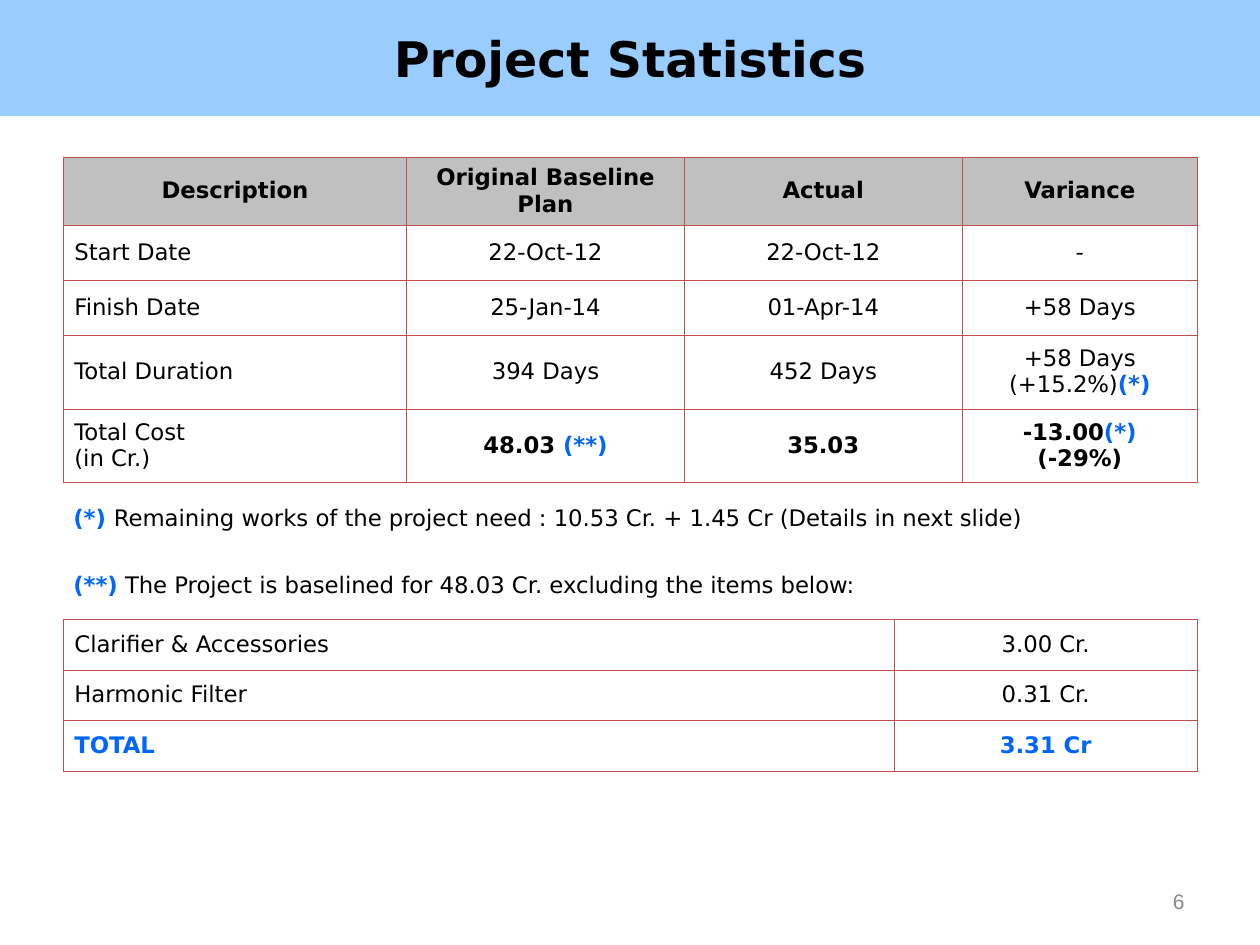
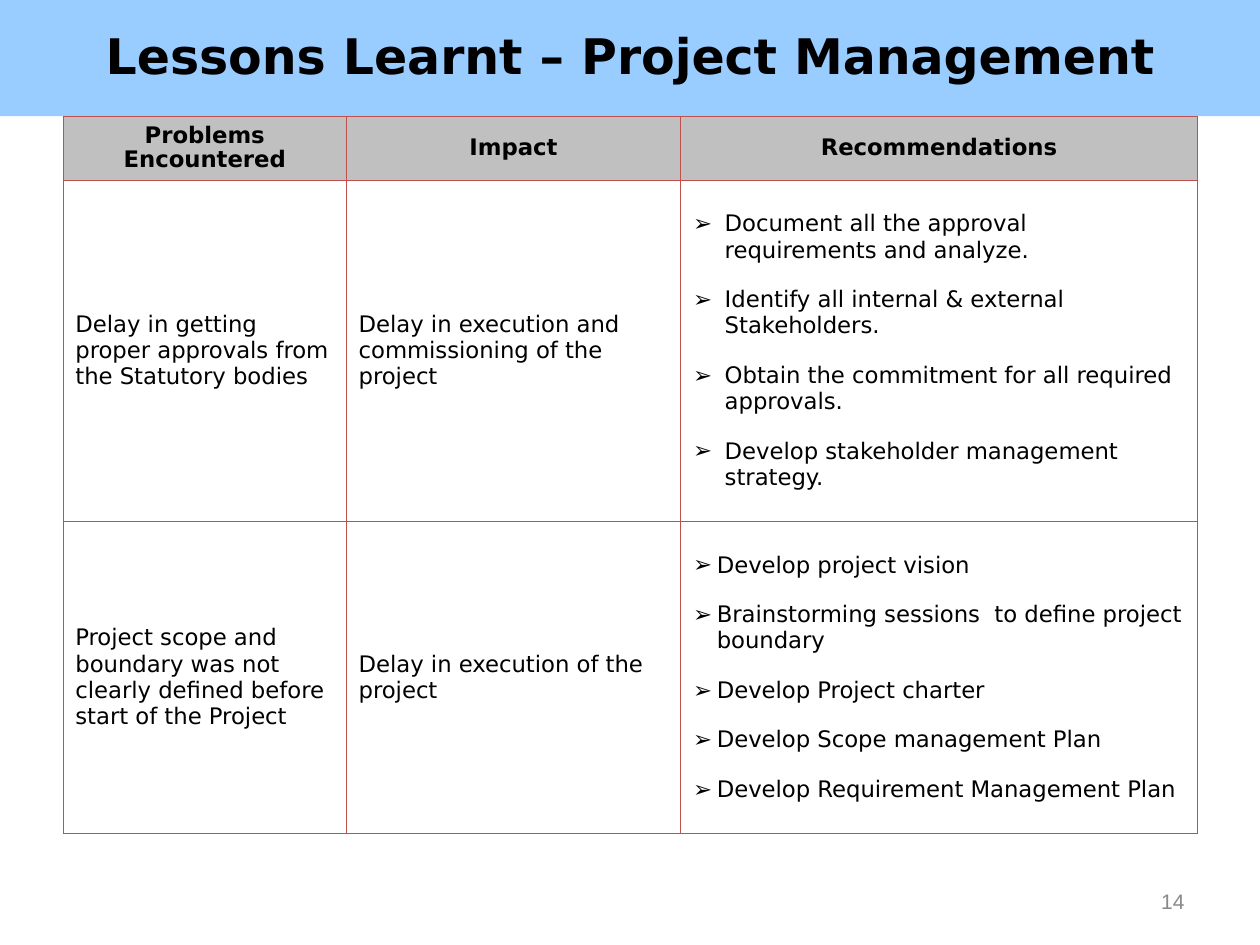
from dataclasses import dataclass, replace
from typing import Optional

from lxml.etree import SubElement
from pptx import Presentation
from pptx.dml.color import RGBColor
from pptx.enum.text import MSO_ANCHOR as Anchor, MSO_AUTO_SIZE as Fit, PP_ALIGN as Align
from pptx.oxml.ns import qn
from pptx.util import Cm, Pt

SKY = RGBColor(0x99, 0xCC, 0xFF)
SILVER = RGBColor(0xC0, 0xC0, 0xC0)
RED = RGBColor(0xC0, 0x50, 0x4D)
BLUE = RGBColor(0x00, 0x66, 0xFF)
BLACK = RGBColor(0x00, 0x00, 0x00)
GREY = RGBColor(0x89, 0x89, 0x89)

WIDE, HIGH = 25.4, 19.05
BAND = 2.34
EDGE = 1.27


@dataclass(frozen=True)
class Style:
    size: float = 13
    font: str = "DejaVu Sans"
    color: RGBColor = BLACK
    bold: bool = False
    align: Align = Align.LEFT
    line: float = 1.0
    before: float = 0
    after: float = 0
    hang: float = 0
    bullet: str = ""


@dataclass(frozen=True)
class Cell:
    text: str
    style: Style
    fill: Optional[RGBColor] = None


@dataclass(frozen=True)
class Grid:
    top: float
    widths: list[float]
    heights: list[float]
    rows: list[list[Cell]]
    inset: float = 0.23


LEFT = Style()
MID = Style(align=Align.CENTER)
HEAD = replace(MID, bold=True)
TITLE = replace(HEAD, size=28)
PAGE = Style(size=12, font="Arial", color=GREY, align=Align.RIGHT)
NOTE = Style(line=1.2, before=19.5, hang=1.6)
ITEM = Style(line=0.93, after=13.5)
PRICE = replace(ITEM, align=Align.CENTER)
PROSE = Style(before=3.3, after=10)
POINT = replace(PROSE, hang=0.64, bullet="➢")
TIGHT = replace(POINT, hang=0.48)


def add_bullet(para, style: Style) -> None:
    props = para._p.get_or_add_pPr()
    tint = SubElement(props, qn("a:buClr"))
    SubElement(tint, qn("a:srgbClr"), val=str(style.color))
    SubElement(props, qn("a:buFont"), typeface=style.font)
    SubElement(props, qn("a:buChar"), char=style.bullet)


def write(frame, text: str, style: Style) -> None:
    frame.text = text
    for index, para in enumerate(frame.paragraphs):
        first, *others = para.text.split("|")
        para.text = first
        for part in others:
            para.add_run().text = part
        if style.bullet:
            add_bullet(para, style)
        if style.hang:
            props = para._p.get_or_add_pPr()
            props.set("marL", str(Cm(style.hang)))
            props.set("indent", str(-Cm(style.hang)))
        para.alignment = style.align
        para.line_spacing = style.line
        para.space_before = Pt(style.before if index else 0)
        para.space_after = Pt(style.after)
        for run in para.runs:
            mark = run.text.startswith("(*")
            run.font.size = Pt(style.size)
            run.font.name = style.font
            run.font.bold = style.bold or mark
            run.font.color.rgb = BLUE if mark else style.color


def pad(frame, left: float, top: float, right: float, bottom: float) -> None:
    frame.margin_left, frame.margin_top = Cm(left), Cm(top)
    frame.margin_right, frame.margin_bottom = Cm(right), Cm(bottom)


def place(shape, left: float, top: float, width: float, height: float) -> None:
    shape.left, shape.top = Cm(left), Cm(top)
    shape.width, shape.height = Cm(width), Cm(height)


def add_text(slide, box: tuple, margins: tuple, text: str, style: Style) -> None:
    frame = slide.shapes.add_textbox(*map(Cm, box)).text_frame
    frame.word_wrap = True
    frame.vertical_anchor = Anchor.MIDDLE
    pad(frame, *margins)
    write(frame, text, style)


def add_lines(cell) -> None:
    props = cell._tc.get_or_add_tcPr()
    for side in ("lnL", "lnR", "lnT", "lnB"):
        line = SubElement(props, qn(f"a:{side}"), w=str(Pt(0.45)))
        fill = SubElement(line, qn("a:solidFill"))
        SubElement(fill, qn("a:srgbClr"), val=str(RED))


def add_grid(slide, grid: Grid) -> None:
    table = slide.shapes.add_table(
        len(grid.rows), len(grid.widths), Cm(EDGE), Cm(grid.top),
        Cm(sum(grid.widths)), Cm(sum(grid.heights))).table
    table.first_row = table.horz_banding = False
    for column, width in zip(table.columns, grid.widths):
        column.width = Cm(width)
    for row, height, cells in zip(table.rows, grid.heights, grid.rows):
        row.height = Cm(height)
        for cell, data in zip(row.cells, cells):
            add_lines(cell)
            if data.fill is None:
                cell.fill.background()
            else:
                cell.fill.solid()
                cell.fill.fore_color.rgb = data.fill
            cell.vertical_anchor = Anchor.MIDDLE
            pad(cell, grid.inset, 0.13, grid.inset, 0.13)
            write(cell.text_frame, data.text, data.style)


def add_slide(deck, title: str, page: int, style: Style = TITLE):
    slide = deck.slides.add_slide(deck.slide_layouts[5])
    band = slide.shapes.title
    place(band, 0, 0, WIDE, BAND)
    band.fill.solid()
    band.fill.fore_color.rgb = SKY
    frame = band.text_frame
    frame.auto_size = Fit.NONE
    frame.vertical_anchor = Anchor.MIDDLE
    write(frame, title, style)
    add_text(slide, (18.21, 17.65, 5.92, 1.02), (0.25, 0.13, 0.25, 0.13),
             str(page), PAGE)
    return slide


def make_row(texts: tuple, *styles: Style,
             fill: Optional[RGBColor] = None) -> list[Cell]:
    return [Cell(text, style, fill) for text, style in zip(texts, styles)]


def add_stats(deck) -> None:
    slide = add_slide(deck, "Project Statistics", 6)
    plain = (LEFT, MID, MID, MID)
    heads = ("Description", "Original Baseline Plan", "Actual", "Variance")
    dates = [
        ("Start Date", "22-Oct-12", "22-Oct-12", "-"),
        ("Finish Date", "25-Jan-14", "01-Apr-14", "+58 Days"),
        ("Total Duration", "394 Days", "452 Days", "+58 Days\n(+15.2%)|(*)"),
    ]
    cost = ("Total Cost\n(in Cr.)", "48.03 |(**)", "35.03", "-13.00|(*)\n(-29%)")
    rows = [make_row(heads, *[HEAD] * 4, fill=SILVER)]
    rows += [make_row(texts, *plain) for texts in dates]
    rows.append(make_row(cost, LEFT, HEAD, HEAD, HEAD))
    add_grid(slide, Grid(3.17, [6.93, 5.59, 5.61, 4.73],
                         [1.31, 1.11, 1.11, 1.49, 1.49], rows))
    notes = ("(*) |Remaining works of the project need : 10.53 Cr. + 1.45 Cr "
             "(Details in next slide)\n"
             "(**)| The Project is baselined for 48.03 Cr. excluding the items below:")
    add_text(slide, (1.48, 9.96, 22.65, 2.11), (0, 0.08, 0, 0), notes, NOTE)
    total = [replace(style, color=BLUE, bold=True) for style in (ITEM, PRICE)]
    extras = [
        make_row(("Clarifier & Accessories", "3.00 Cr."), ITEM, PRICE),
        make_row(("Harmonic Filter", "0.31 Cr."), ITEM, PRICE),
        make_row(("TOTAL", "3.31 Cr"), *total),
    ]
    add_grid(slide, Grid(12.49, [16.76, 6.1], [1.02] * 3, extras))


def add_lessons(deck) -> None:
    slide = add_slide(deck, "Lessons Learnt – Project Management", 14,
                      replace(TITLE, line=0.93))
    heads = ("Problems Encountered", "Impact", "Recommendations")
    consent = (
        "Delay in getting proper approvals from the Statutory bodies",
        "Delay in execution and commissioning of the project",
        "Document all the approval requirements and analyze.\n"
        "Identify all internal & external Stakeholders.\n"
        "Obtain the commitment for all required approvals.\n"
        "Develop stakeholder management strategy.",
    )
    scope = (
        "Project scope and boundary was not clearly defined before start of the Project",
        "Delay in execution of the project",
        "Develop project vision\n"
        "Brainstorming sessions  to define project boundary\n"
        "Develop Project charter\n"
        "Develop Scope management Plan\n"
        "Develop Requirement Management Plan",
    )
    label = replace(PRICE, bold=True)
    rows = [
        make_row(heads, *[label] * 3, fill=SILVER),
        make_row(consent, PROSE, PROSE, POINT),
        make_row(scope, PROSE, PROSE, TIGHT),
    ]
    add_grid(slide, Grid(BAND, [5.71, 6.74, 10.41], [1.29, 6.88, 6.29],
                         rows, inset=0.25))


def main() -> None:
    deck = Presentation()
    deck.slide_width, deck.slide_height = Cm(WIDE), Cm(HIGH)
    add_stats(deck)
    add_lessons(deck)
    deck.save("out.pptx")


if __name__ == "__main__":
    main()
